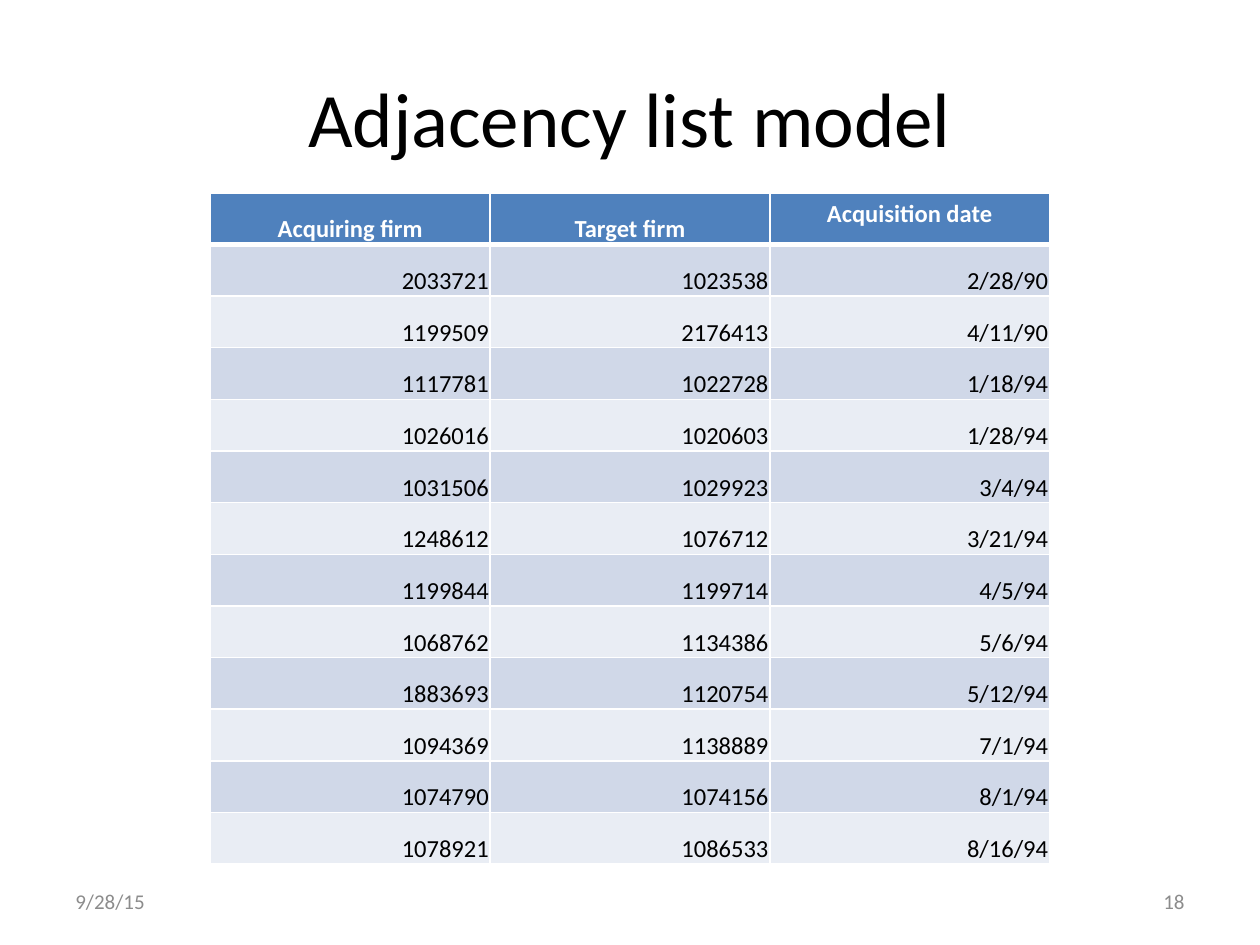
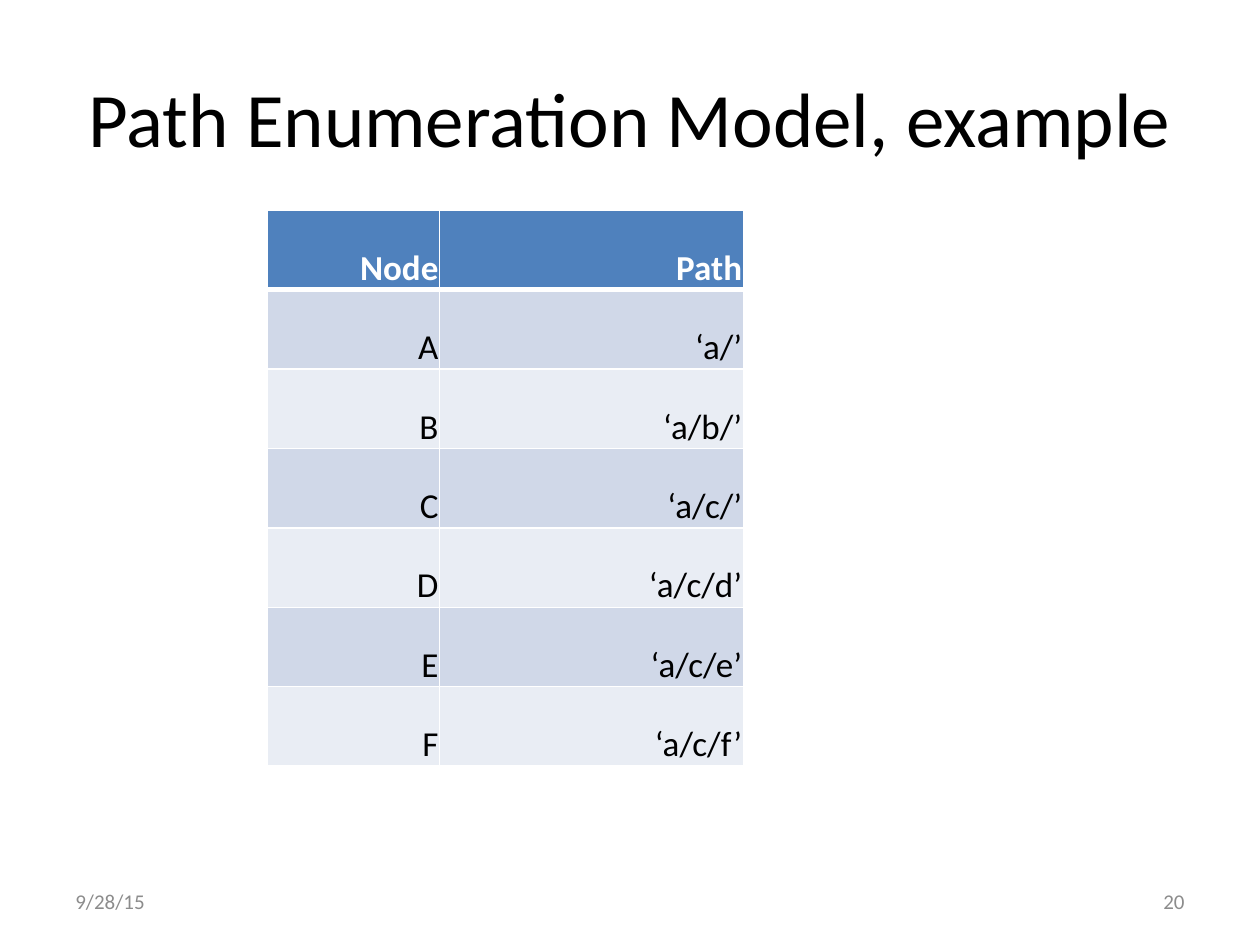
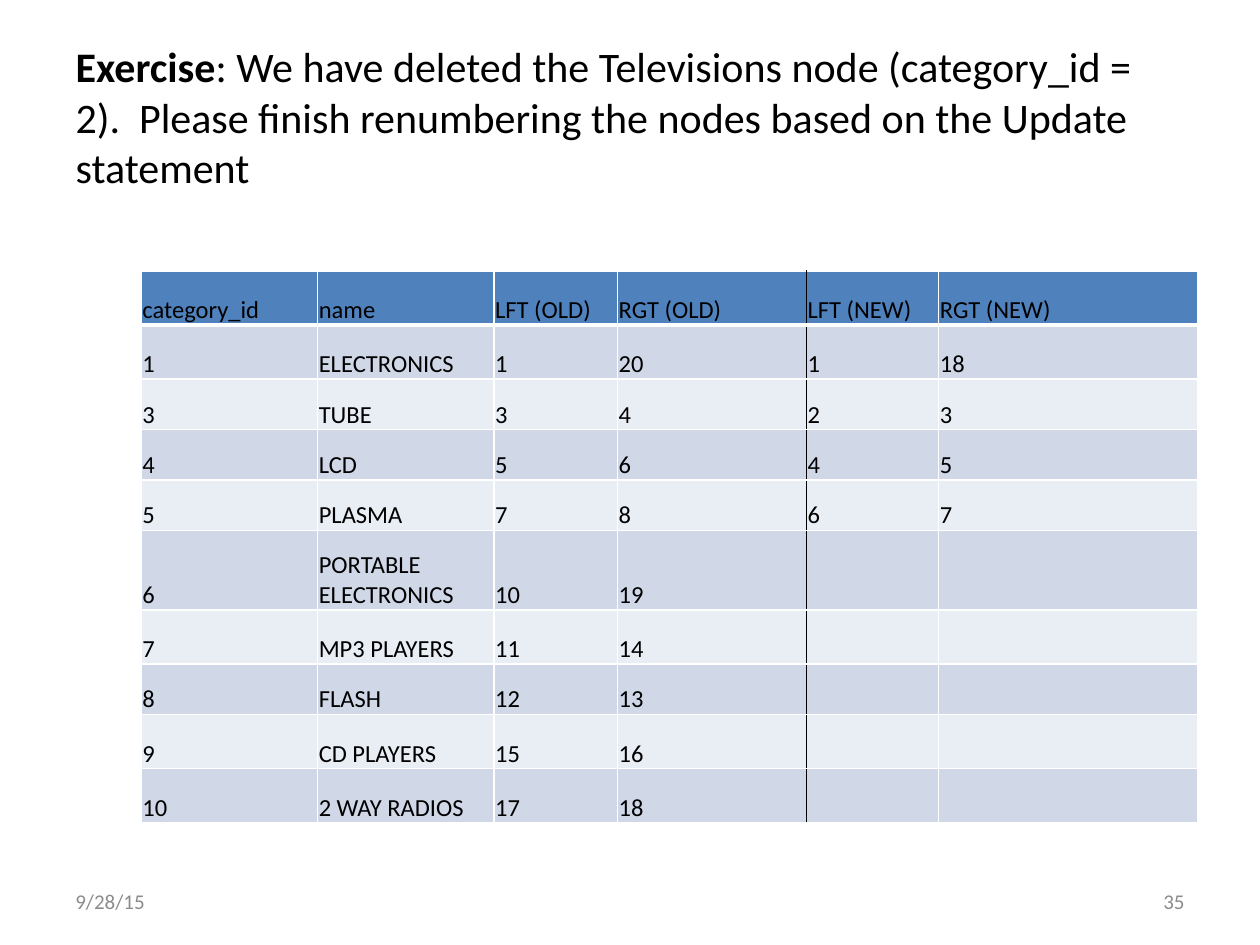
import pptx
import pptx.util
import pptx.dml.color
import pptx.enum.text
import pptx.oxml
import pptx.oxml.ns

Inches = pptx.util.Inches
RGBColor = pptx.dml.color.RGBColor
ALIGN = pptx.enum.text.PP_ALIGN
ANCHOR = pptx.enum.text.MSO_ANCHOR

BLACK = RGBColor(0x00, 0x00, 0x00)
WHITE = RGBColor(0xFF, 0xFF, 0xFF)
GREY = RGBColor(0x8C, 0x8C, 0x8C)
BLUE = RGBColor(0x4F, 0x81, 0xBD)
BANDS = [RGBColor(0xE9, 0xED, 0xF4), RGBColor(0xD0, 0xD8, 0xE8)]
FONT = "Calibri"
DATE = "9/28/15"


def write(frame, text, size=14, color=BLACK, bold=False, align=ALIGN.LEFT):
    """Add a formatted run to the first paragraph of a text frame."""
    para = frame.paragraphs[0]
    para.alignment = align
    run = para.add_run()
    run.text = text
    run.font.name = FONT
    run.font.size = pptx.util.Pt(size)
    run.font.color.rgb = color
    run.font.bold = bold


def edge(cell, sides):
    """Draw cell borders from (side, width in points, colour) in L, R, T, B order."""
    props = cell._tc.get_or_add_tcPr()
    for spot, (side, width, color) in enumerate(sides):
        line = pptx.oxml.parse_xml(
            f'<a:ln{side} {pptx.oxml.ns.nsdecls("a")} w="{pptx.util.Pt(width)}">'
            f'<a:solidFill><a:srgbClr val="{color}"/></a:solidFill></a:ln{side}>')
        props.insert(spot, line)


firms = [
    ["Acquiring firm", "Target firm", "Acquisition date"],
    ["2033721", "1023538", "2/28/90"],
    ["1199509", "2176413", "4/11/90"],
    ["1117781", "1022728", "1/18/94"],
    ["1026016", "1020603", "1/28/94"],
    ["1031506", "1029923", "3/4/94"],
    ["1248612", "1076712", "3/21/94"],
    ["1199844", "1199714", "4/5/94"],
    ["1068762", "1134386", "5/6/94"],
    ["1883693", "1120754", "5/12/94"],
    ["1094369", "1138889", "7/1/94"],
    ["1074790", "1074156", "8/1/94"],
    ["1078921", "1086533", "8/16/94"],
]
paths = [
    ["Node", "Path"],
    ["A", "‘a/’"],
    ["B", "‘a/b/’"],
    ["C", "‘a/c/’"],
    ["D", "‘a/c/d’"],
    ["E", "‘a/c/e’"],
    ["F", "‘a/c/f’"],
]
goods = [
    ["category_id", "name", "LFT (OLD)", "RGT (OLD)", "LFT (NEW)", "RGT (NEW)"],
    ["1", "ELECTRONICS", "1", "20", "1", "18"],
    ["3", "TUBE", "3", "4", "2", "3"],
    ["4", "LCD", "5", "6", "4", "5"],
    ["5", "PLASMA", "7", "8", "6", "7"],
    ["6", "PORTABLE ELECTRONICS", "10", "19", "", ""],
    ["7", "MP3 PLAYERS", "11", "14", "", ""],
    ["8", "FLASH", "12", "13", "", ""],
    ["9", "CD PLAYERS", "15", "16", "", ""],
    ["10", "2 WAY RADIOS", "17", "18", "", ""],
]

# "split" is the column that starts after a black rule.
pages = [
    dict(title=[("Adjacency list model", False)], big=44, side=ALIGN.CENTER,
         page="18", data=firms, left=1.67, top=1.53, cols=[2.22] * 3,
         rows=[0.41] * 13, size=14, head=dict(color=WHITE, bold=True, align=ALIGN.CENTER),
         body=ALIGN.RIGHT, split=None),
    dict(title=[("Path Enumeration Model, example", False)], big=44, side=ALIGN.CENTER,
         page="20", data=paths, left=2.12, top=1.67, cols=[1.37, 2.41],
         rows=[0.63] * 7, size=20, head=dict(color=WHITE, bold=True, align=ALIGN.RIGHT),
         body=ALIGN.RIGHT, split=None),
    dict(title=[("Exercise", True),
                (": We have deleted the Televisions node (category_id = 2).  Please finish "
                 "renumbering the nodes based on the Update statement", False)],
         big=24, side=ALIGN.LEFT, page="35", data=goods, left=1.12, top=2.15,
         cols=[1.4, 1.4, 0.98, 1.5, 1.05, 2.06],
         rows=[0.43, 0.43, 0.4, 0.4, 0.4, 0.63, 0.43, 0.4, 0.43, 0.43], size=14,
         head=dict(), body=ALIGN.LEFT, split=4),
]

deck = pptx.Presentation()
deck.slide_width = Inches(10)
deck.slide_height = Inches(7.5)

for item in pages:
    slide = deck.slides.add_slide(deck.slide_layouts[5])

    title = slide.shapes.title
    title.left, title.top = Inches(0.5), Inches(0.3)
    title.width, title.height = Inches(9), Inches(1.25)
    title.text_frame.auto_size = pptx.enum.text.MSO_AUTO_SIZE.NONE
    title.text_frame.vertical_anchor = ANCHOR.MIDDLE
    for text, bold in item["title"]:
        write(title.text_frame, text, size=item["big"], bold=bold, align=item["side"])

    data, cols, rows = item["data"], item["cols"], item["rows"]
    grid = slide.shapes.add_table(
        len(rows), len(cols), Inches(item["left"]), Inches(item["top"]),
        Inches(sum(cols)), Inches(sum(rows))).table
    for col, width in zip(grid.columns, cols):
        col.width = Inches(width)
    for row, height in zip(grid.rows, rows):
        row.height = Inches(height)

    for r, line in enumerate(data):
        for c, text in enumerate(line):
            cell = grid.cell(r, c)
            cell.fill.solid()
            cell.fill.fore_color.rgb = BANDS[r % 2] if r else BLUE
            if text == "Acquisition date":
                cell.vertical_anchor = ANCHOR.TOP
            else:
                cell.vertical_anchor = ANCHOR.BOTTOM
                cell.margin_left = cell.margin_right = cell.margin_top = Inches(0.01)
                cell.margin_bottom = 0
            if text:
                style = dict(align=item["body"]) if r else item["head"]
                write(cell.text_frame, text, size=item["size"], **style)
            edge(cell, [
                ("L", 1, BLACK if c == item["split"] else WHITE),
                ("R", 1, BLACK if c + 1 == item["split"] else WHITE),
                ("T", 3 if r == 1 else 1, WHITE),
                ("B", 1 if r else 3, WHITE),
            ])

    for text, left, align in [(DATE, 0.5, ALIGN.LEFT), (item["page"], 7.17, ALIGN.RIGHT)]:
        foot = slide.shapes.add_textbox(
            Inches(left), Inches(6.95), Inches(2.33), Inches(0.4)).text_frame
        foot.word_wrap = True
        foot.vertical_anchor = ANCHOR.MIDDLE
        write(foot, text, size=12, color=GREY, align=align)

deck.save("out.pptx")
